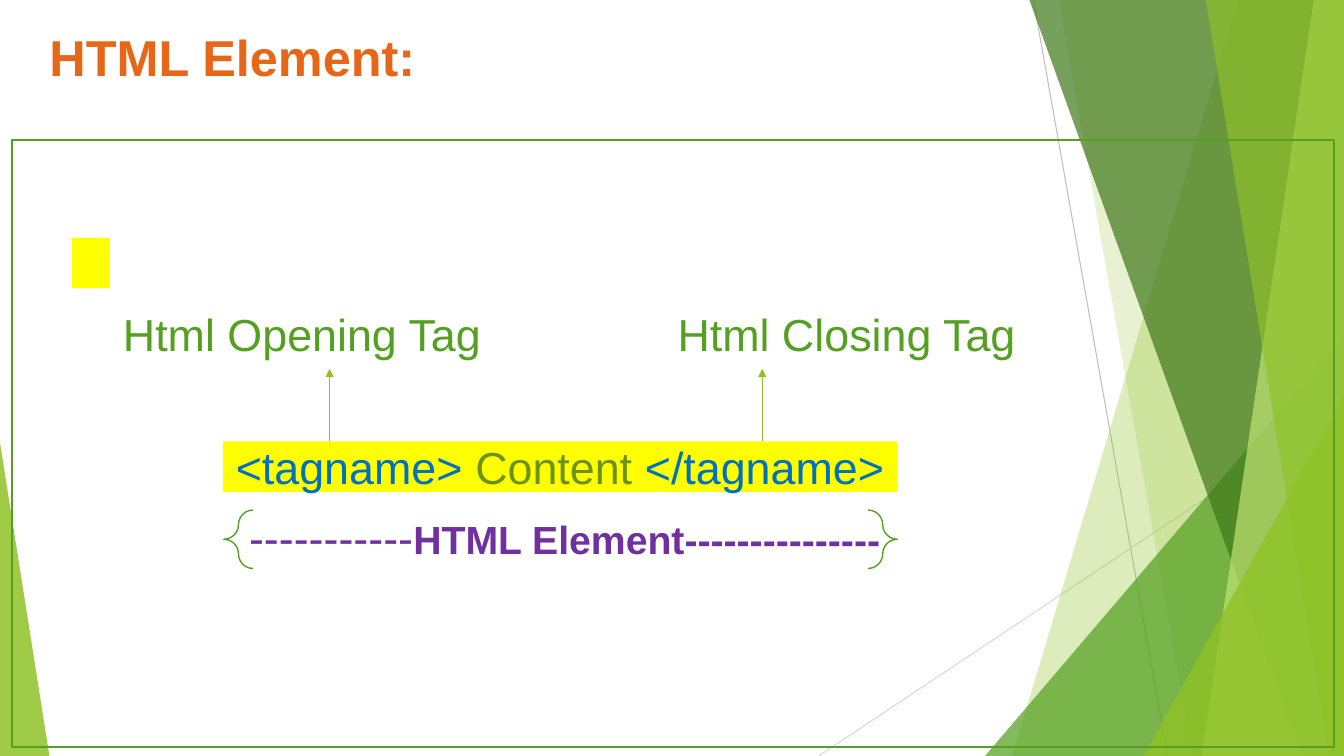
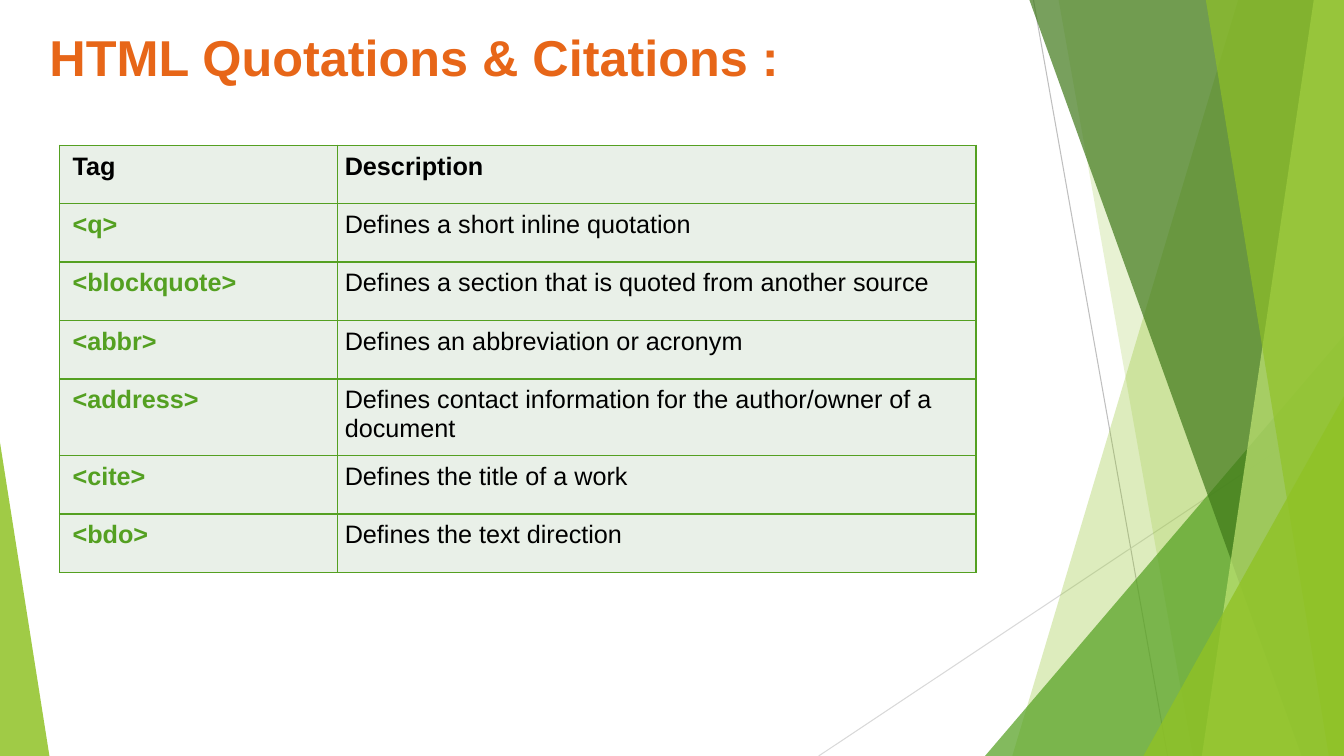
"""Builds two slides on HTML elements and quotation tags."""
from lxml import etree
from pptx import Presentation
from pptx.dml.color import RGBColor
from pptx.enum.shapes import MSO_CONNECTOR, MSO_SHAPE
from pptx.enum.text import MSO_ANCHOR, PP_ALIGN
from pptx.oxml.ns import qn
from pptx.util import Inches, Pt

LINE = MSO_CONNECTOR.STRAIGHT
RECT, BRACE, WEDGE = MSO_SHAPE.RECTANGLE, MSO_SHAPE.DOUBLE_BRACE, MSO_SHAPE.ISOSCELES_TRIANGLE
TOP, MIDDLE = MSO_ANCHOR.TOP, MSO_ANCHOR.MIDDLE
LEFT, CENTER = PP_ALIGN.LEFT, PP_ALIGN.CENTER

GREEN = RGBColor(0x54, 0xA0, 0x21)
LIME = RGBColor(0x90, 0xC2, 0x26)
DARK = RGBColor(0x3F, 0x78, 0x19)
PALE = RGBColor(0xC0, 0xE4, 0x74)
OLIVE = RGBColor(0x6C, 0x92, 0x1D)
ORANGE = RGBColor(0xE7, 0x66, 0x18)
BLUE = RGBColor(0x00, 0x70, 0xC0)
PURPLE = RGBColor(0x70, 0x30, 0xA0)
YELLOW = RGBColor(0xFF, 0xFF, 0x00)
MINT = RGBColor(0xE9, 0xF0, 0xE8)
GREY = RGBColor(0xBF, 0xBF, 0xBF)
SILVER = RGBColor(0xD9, 0xD9, 0xD9)
BLACK = RGBColor(0, 0, 0)

FONT = "Arial"
WIDE, HIGH = 13.33, 7.5

RAYS = [(10.25, 0, 11.58, HIGH, GREY), (WIDE, 4.03, 8.12, HIGH, SILVER)]
FACETS = [
    ("band", (12.28, 10.04), LIME, 30),
    ("band", (10.5, 11.83), LIME, 20),
    ("wedge", (9.77, 3.33, 3.56, 1), GREEN, 72),
    ("band", (10.21, 12.91), DARK, 70),
    ("band", (13.03, 11.92), PALE, 70),
    ("band", (11.96, 13.18), LIME, 65),
    ("wedge", (11.34, 3.93, 1.99, 1), LIME, 80),
    ("wedge", (0, 4.39, 0.49, 0), LIME, 85),
]

TITLE = {"size": Pt(36), "bold": True}
LARGE = {"size": Pt(32), "bold": False}
STRONG = {"size": Pt(28), "bold": True}
HEAD = {"size": Pt(18), "bold": True}
PLAIN = {"size": Pt(18), "bold": False}

LABELS = [
    (1.22, 3.04, [("Html Opening Tag", GREEN, LARGE)]),
    (6.72, 3.04, [("Html Closing Tag", GREEN, LARGE)]),
    (2.47, 5.06, [("-----------", PURPLE, LARGE),
                  ("HTML Element---------------", PURPLE, STRONG)]),
]
SYNTAX = [("<tagname> ", BLUE, LARGE), ("Content ", OLIVE, LARGE), ("</tagname>", BLUE, LARGE)]
ARROWS = [3.27, 7.56]

TAGS = [
    ("Tag", "Description"),
    ("<q>", "Defines a short inline quotation"),
    ("<blockquote>", "Defines a section that is quoted from another source"),
    ("<abbr>", "Defines an abbreviation or acronym"),
    ("<address>", "Defines contact information for the author/owner of a document"),
    ("<cite>", "Defines the title of a work"),
    ("<bdo>", "Defines the text direction"),
]
COLS = [2.76, 6.33]
ROW, TALL = 0.58, 0.76


def write(frame, runs, align=LEFT, anchor=TOP):
    frame.word_wrap = True
    frame.vertical_anchor = anchor
    for side in ("left", "top", "right", "bottom"):
        setattr(frame, f"margin_{side}", 0)
    para = frame.paragraphs[0]
    para.alignment = align
    fill_runs(para, runs)


def fill_runs(para, runs):
    for text, color, style in runs:
        run = para.add_run()
        run.text = text
        run.font.name = FONT
        run.font.color.rgb = color
        for key, value in style.items():
            setattr(run.font, key, value)


def label(slide, x, y, w, h, runs):
    box = slide.shapes.add_textbox(*map(Inches, (x, y, w, h)))
    write(box.text_frame, runs)


def paint(shape, fill=None, line=None, width=1, alpha=100):
    shape.shadow.inherit = False
    if fill is None:
        shape.fill.background()
    else:
        shape.fill.solid()
        shape.fill.fore_color.rgb = fill
    if alpha < 100:
        for node in shape.element.spPr.iter(qn("a:srgbClr")):
            etree.SubElement(node, qn("a:alpha")).set("val", str(alpha * 1000))
    if line is None:
        shape.line.fill.background()
    else:
        shape.line.color.rgb = line
        shape.line.width = Pt(width)


def block(shapes, kind, x, y, w, h, **look):
    shape = shapes.add_shape(kind, *map(Inches, (x, y, w, h)))
    paint(shape, **look)
    return shape


def stroke(shapes, ends, color, width, arrow=False):
    line = shapes.add_connector(LINE, *map(Inches, ends))
    line.line.color.rgb = color
    line.line.width = Pt(width)
    if arrow:
        etree.SubElement(line.line._get_or_add_ln(), qn("a:tailEnd")).set("type", "triangle")
    etree.SubElement(line.element.spPr, qn("a:effectLst"))


def backdrop(slide):
    shapes = slide.shapes.add_group_shape().shapes
    for *ends, color in RAYS:
        stroke(shapes, ends, color, 0.75)
    for kind, place, color, alpha in FACETS:
        if kind == "band":
            top, base = place
            points = [(Inches(x), Inches(y)) for x, y in
                      ((top, 0), (WIDE, 0), (WIDE, HIGH), (base, HIGH))]
            pen = shapes.build_freeform(*points[0])
            pen.add_line_segments(points[1:])
            paint(pen.convert_to_shape(), fill=color, alpha=alpha)
        else:
            x, y, w, tip = place
            wedge = block(shapes, WEDGE, x, y, w, HIGH - y, fill=color, alpha=alpha)
            wedge.adjustments[0] = tip


def start(deck, title):
    slide = deck.slides.add_slide(deck.slide_layouts[6])
    backdrop(slide)
    label(slide, 0.49, 0.26, 10.6, 0.6, [(title, ORANGE, TITLE)])
    return slide


def element(deck):
    slide = start(deck, "HTML Element:")
    shapes = slide.shapes
    block(shapes, RECT, 0.12, 1.39, 13.11, 6.02, line=GREEN, width=1.5)
    block(shapes, RECT, 0.71, 2.36, 0.38, 0.5, fill=YELLOW)
    strip = block(shapes, RECT, 2.21, 4.38, 6.69, 0.5, fill=YELLOW)
    write(strip.text_frame, SYNTAX, CENTER, MIDDLE)
    for x, y, runs in LABELS:
        label(slide, x, y, 6.5, 0.5, runs)
    brace = block(shapes, BRACE, 2.22, 5.06, 6.68, 0.58, line=GREEN)
    brace.adjustments[0] = 0.25
    for x in ARROWS:
        stroke(shapes, (x, 4.38, x, 3.66), LIME, 1, arrow=True)


def border(cell):
    props = cell._tc.get_or_add_tcPr()
    for side in ("lnL", "lnR", "lnT", "lnB"):
        edge = etree.SubElement(props, qn(f"a:{side}"), w=str(Pt(1)))
        fill = etree.SubElement(edge, qn("a:solidFill"))
        etree.SubElement(fill, qn("a:srgbClr"), val=str(GREEN))


def quotes(deck):
    slide = start(deck, "HTML Quotations & Citations :")
    highs = [TALL if tag == "<address>" else ROW for tag, _ in TAGS]
    size = (0.59, 1.44, sum(COLS), sum(highs))
    table = slide.shapes.add_table(len(TAGS), len(COLS), *map(Inches, size)).table
    for col, wide in zip(table.columns, COLS):
        col.width = Inches(wide)
    for r, (row, high) in enumerate(zip(TAGS, highs)):
        table.rows[r].height = Inches(high)
        for c, text in enumerate(row):
            cell = table.cell(r, c)
            for side in ("top", "right", "bottom"):
                setattr(cell, f"margin_{side}", Inches(0.07))
            cell.margin_left = Inches(0.07 if c else 0.13)
            border(cell)
            cell.fill.solid()
            cell.fill.fore_color.rgb = MINT
            color = GREEN if r and not c else BLACK
            style = PLAIN if r and c else HEAD
            fill_runs(cell.text_frame.paragraphs[0], [(text, color, style)])


def main():
    deck = Presentation()
    deck.slide_width, deck.slide_height = Inches(WIDE), Inches(HIGH)
    element(deck)
    quotes(deck)
    deck.save("out.pptx")


if __name__ == "__main__":
    main()
